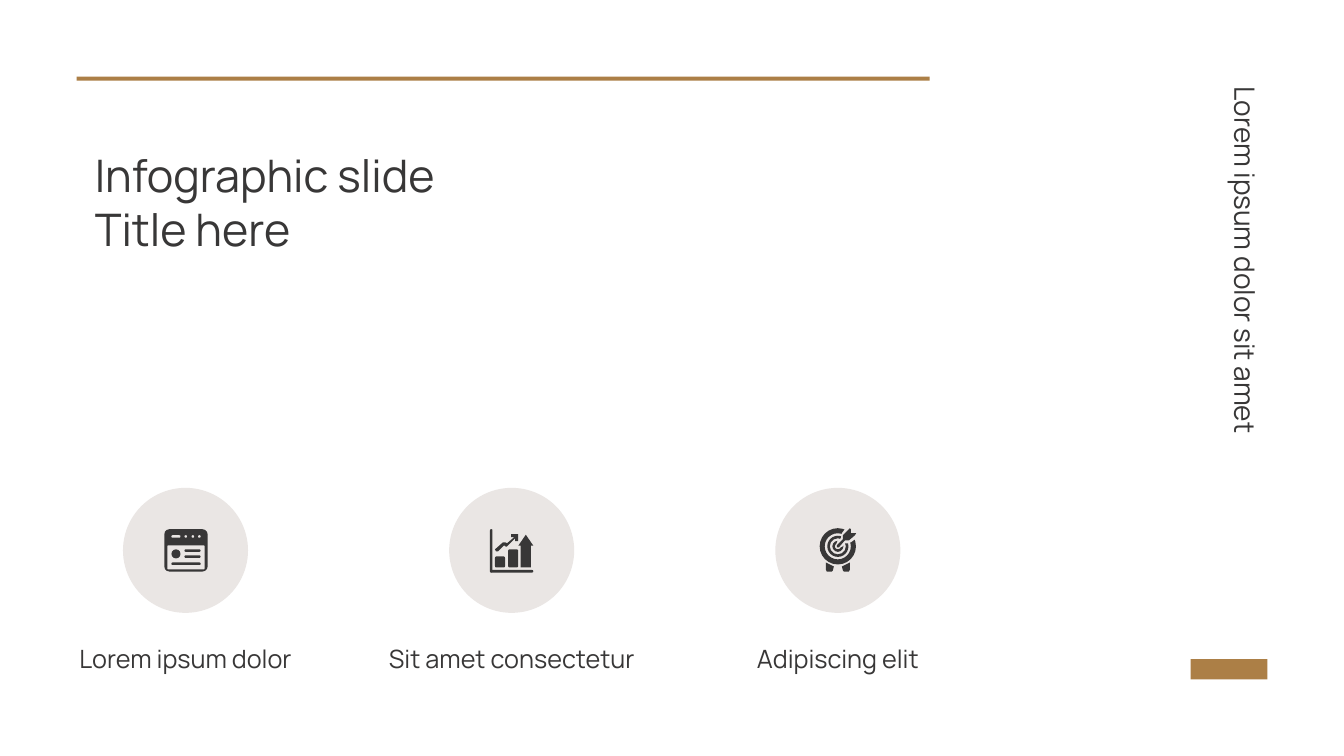
from pptx import Presentation
from pptx.dml.color import RGBColor
from pptx.enum.shapes import MSO_SHAPE
from pptx.enum.text import MSO_ANCHOR, MSO_AUTO_SIZE, PP_ALIGN
from pptx.util import Inches, Pt

TITLE = "Infographic slide\nTitle here"
SIDE_NOTE = "Lorem ipsum dolor sit amet"

INK = RGBColor(0x38, 0x37, 0x37)
SAND = RGBColor(0xEA, 0xE6, 0xE4)
BRONZE = RGBColor(0xAC, 0x7F, 0x46)
FONT = "Manrope"

RECT, ROUND, OVAL = MSO_SHAPE.RECTANGLE, MSO_SHAPE.ROUNDED_RECTANGLE, MSO_SHAPE.OVAL
RING, UP_ARROW = MSO_SHAPE.DONUT, MSO_SHAPE.UP_ARROW

# Icon parts are in hundredths of an inch from the centre of the circle:
# (preset, colour, (left, top, width, height), adjustments) or (None, colour, corners)
BROWSER_ICON = [
    (ROUND, INK, (-21, -21, 43, 42), [0.12]),
    (ROUND, SAND, (-18, -5, 37, 24), [0.05]),
    (ROUND, SAND, (-14, -15, 9, 2.5), [0.5]),
    *[(OVAL, SAND, (x, -15, 2.5, 2.5), []) for x in (-1, 6, 12.5)],
    (OVAL, INK, (-14, -1, 9, 9), []),
    *[(ROUND, INK, (x, y, 15 - x, 2.5), [0.5]) for x, y in ((-1, -1), (-1, 5), (-14, 12))],
]

GROWTH_ICON = [
    (ROUND, INK, (-16.5, 6, 10, 11), [0.15]),
    (ROUND, INK, (-3.5, -1, 10, 18), [0.15]),
    (UP_ARROW, INK, (6.5, -15.5, 15, 32.5), [0.67, 0.73]),
    (ROUND, INK, (-21.5, -21, 2.5, 43), [0.5]),
    (ROUND, INK, (-21.5, 19.5, 43, 2.5), [0.5]),
    (None, INK, [(-13.5, 1), (-7.5, -5), (-5.5, -3.5), (-4.5, -4), (3.5, -12),
                 (3.5, -9), (6.5, -9), (6.5, -16), (-0.5, -16), (-0.5, -13),
                 (2.5, -13), (-4.5, -7), (-6.5, -8), (-8.5, -8), (-16.5, -1),
                 (-15.5, 1)]),
]

TARGET_LEG = [(12, 12), (4, 16), (5, 20), (6, 21), (11, 21), (12, 19)]
TARGET_ICON = [
    (RING, INK, (-18, -22, 36, 36), [0.14]),
    (RING, INK, (-10.5, -14.5, 21, 21), [0.12]),
    (RING, INK, (-5.5, -9.5, 11, 11), [0.23]),
    (None, SAND, [(7, -21), (4, -17), (3, -12), (0, -10), (-2, -5), (0, -2),
                  (5, -4), (7, -7), (10, -7), (13, -8), (17, -11), (19, -22)]),
    (None, INK, [(5, -15), (5, -11), (-1, -5), (-1, -3), (1, -3), (7, -10),
                 (11, -10), (17, -15), (18, -17), (13, -17), (13, -21),
                 (12, -22), (11, -21), (6, -16)]),
    *[(None, INK, [(side * x, y) for x, y in TARGET_LEG]) for side in (1, -1)],
]

FEATURES = [
    ("Lorem ipsum dolor", BROWSER_ICON),
    ("Sit amet consectetur", GROWTH_ICON),
    ("Adipiscing elit", TARGET_ICON),
]

FIRST_CENTRE, COLUMN_PITCH, CIRCLE_CENTRE_Y = 1.84, 3.235, 5.46
CIRCLE_SIZE = 1.24
LABEL_TOP, LABEL_WIDTH, LABEL_HEIGHT = 6.33, 2.71, 0.4


def paint(shape, colour):
    shape.shadow.inherit = False
    shape.fill.solid()
    shape.fill.fore_color.rgb = colour
    shape.line.fill.background()


def add_block(shapes, preset, colour, box, adjustments=()):
    block = shapes.add_shape(preset, *[Inches(length) for length in box])
    for index, value in enumerate(adjustments):
        block.adjustments[index] = value
    paint(block, colour)


def write(holder, words, size, align=PP_ALIGN.LEFT):
    frame = holder.text_frame
    frame.text = words
    frame.word_wrap = True
    frame.auto_size = MSO_AUTO_SIZE.SHAPE_TO_FIT_TEXT
    frame.vertical_anchor = MSO_ANCHOR.TOP
    for paragraph in frame.paragraphs:
        paragraph.alignment = align
        for run in paragraph.runs:
            run.font.name = FONT
            run.font.size = Pt(size)
            run.font.color.rgb = INK


def add_label(shapes, box, words, size, align=PP_ALIGN.LEFT):
    label = shapes.add_textbox(*[Inches(length) for length in box])
    write(label, words, size, align)
    return label


def draw_icon(shapes, parts, centre_x, centre_y):
    icon = shapes.add_group_shape().shapes
    for preset, colour, geometry, *adjustments in parts:
        if preset is None:
            corners = [(Inches(centre_x + x / 100), Inches(centre_y + y / 100))
                       for x, y in geometry]
            outline = icon.build_freeform(*corners[0])
            outline.add_line_segments(corners[1:], close=True)
            paint(outline.convert_to_shape(), colour)
        else:
            left, top, width, height = [length / 100 for length in geometry]
            add_block(icon, preset, colour,
                      (centre_x + left, centre_y + top, width, height), *adjustments)


def main():
    deck = Presentation()
    deck.slide_width, deck.slide_height = Inches(13.33), Inches(7.5)
    slide = deck.slides.add_slide(deck.slide_layouts[5])
    shapes = slide.shapes

    title = shapes.title
    title.left, title.top = Inches(0.84), Inches(1.42)
    title.width, title.height = Inches(6.54), Inches(1.18)
    write(title, TITLE, 32)

    for column, (words, icon) in enumerate(FEATURES):
        centre = FIRST_CENTRE + column * COLUMN_PITCH
        add_label(shapes, (centre - LABEL_WIDTH / 2, LABEL_TOP, LABEL_WIDTH, LABEL_HEIGHT),
                  words, 18, PP_ALIGN.CENTER)
        add_block(shapes, OVAL, SAND, (centre - CIRCLE_SIZE / 2,
                                       CIRCLE_CENTRE_Y - CIRCLE_SIZE / 2,
                                       CIRCLE_SIZE, CIRCLE_SIZE))
        draw_icon(shapes, icon, centre, CIRCLE_CENTRE_Y)

    add_block(shapes, RECT, BRONZE, (0.76, 0.76, 8.46, 0.04))
    add_block(shapes, RECT, BRONZE, (11.81, 6.54, 0.76, 0.2))
    side_note = add_label(shapes, (9.78, 3.11, 5.14, 0.44), SIDE_NOTE, 20)
    side_note.rotation = 90

    deck.save("out.pptx")


if __name__ == "__main__":
    main()
